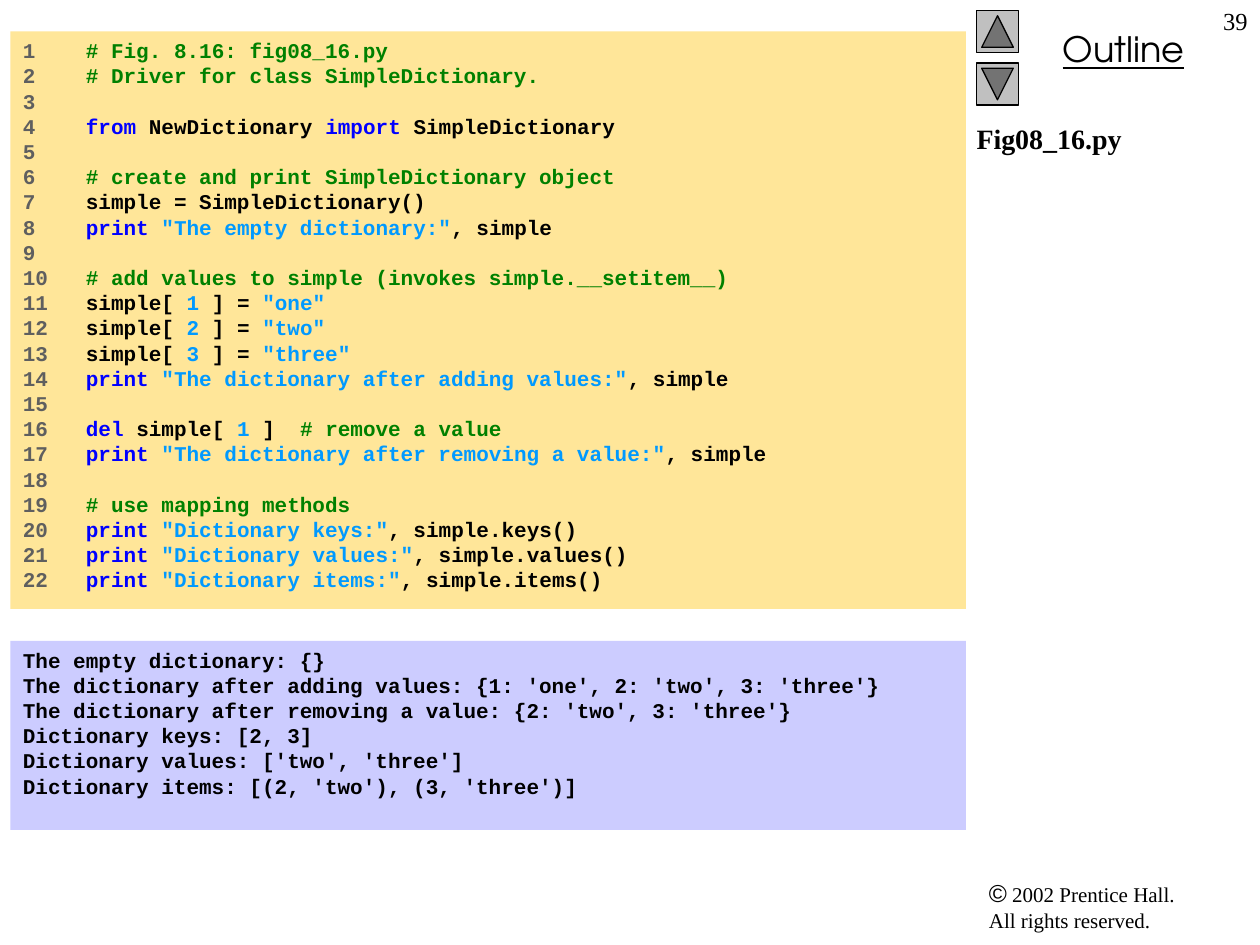
from pptx import Presentation
from pptx.dml.color import RGBColor
from pptx.enum.shapes import MSO_SHAPE
from pptx.enum.text import MSO_ANCHOR, PP_ALIGN
from pptx.util import Pt

COLORS = {
    "text": "000000",
    "number": "5F5F5F",
    "comment": "008000",
    "keyword": "0000FF",
    "literal": "0099FF",
    "code_panel": "FFE699",
    "output_panel": "CCCCFF",
    "button": "C0C0C0",
}
CODE_FONT, BODY_FONT = "Courier New", "Times New Roman"
CODE_PITCH = 14.4


def comment(text):
    return [("comment", text)]


def print_call(message, rest):
    return [("keyword", "print "), ("literal", f'"{message}"'), ("text", f", {rest}")]


def assignment(key, value):
    return [("text", "simple["), ("literal", f" {key}"), ("text", " ] = "),
            ("literal", f'"{value}"')]


# One list of (colour, text) pieces per line of the program
PROGRAM = [
    comment("# Fig. 8.16: fig08_16.py"),
    comment("# Driver for class SimpleDictionary."),
    [],
    [("keyword", "from"), ("text", " NewDictionary "),
     ("keyword", "import"), ("text", " SimpleDictionary")],
    [],
    comment("# create and print SimpleDictionary object"),
    [("text", "simple = SimpleDictionary()")],
    print_call("The empty dictionary:", "simple"),
    [],
    comment("# add values to simple (invokes simple.__setitem__)"),
    assignment(1, "one"),
    assignment(2, "two"),
    assignment(3, "three"),
    print_call("The dictionary after adding values:", "simple"),
    [],
    [("keyword", "del"), ("text", " simple["), ("literal", " 1"),
     ("text", " ]  "), ("comment", "# remove a value")],
    print_call("The dictionary after removing a value:", "simple"),
    [],
    comment("# use mapping methods"),
    print_call("Dictionary keys:", "simple.keys()"),
    print_call("Dictionary values:", "simple.values()"),
    print_call("Dictionary items:", "simple.items()"),
]
OUTPUT = [
    "The empty dictionary: {}",
    "The dictionary after adding values: {1: 'one', 2: 'two', 3: 'three'}",
    "The dictionary after removing a value: {2: 'two', 3: 'three'}",
    "Dictionary keys: [2, 3]",
    "Dictionary values: ['two', 'three']",
    "Dictionary items: [(2, 'two'), (3, 'three')]",
]


def color(name):
    return RGBColor.from_string(COLORS[name])


def style(font, name, size, tint="text", bold=False, underline=False):
    font.name, font.size = name, Pt(size)
    font.bold, font.underline = bold, underline
    font.color.rgb = color(tint)


def add_label(slide, box, text, font_name, size, align=PP_ALIGN.LEFT,
              left_inset=7.2, **looks):
    frame = slide.shapes.add_textbox(*map(Pt, box)).text_frame
    frame.word_wrap = True
    frame.margin_left = Pt(left_inset)
    frame.text = text
    paragraph = frame.paragraphs[0]
    paragraph.alignment = align
    for run in paragraph.runs:
        style(run.font, font_name, size, **looks)
    return paragraph


def add_code_panel(slide, box, fill, lines):
    panel = slide.shapes.add_shape(MSO_SHAPE.RECTANGLE, *map(Pt, box))
    panel.shadow.inherit = False
    panel.fill.solid()
    panel.fill.fore_color.rgb = color(fill)
    panel.line.fill.background()
    frame = panel.text_frame
    frame.word_wrap = True
    frame.vertical_anchor = MSO_ANCHOR.TOP
    for index, pieces in enumerate(lines):
        paragraph = frame.add_paragraph() if index else frame.paragraphs[0]
        paragraph.alignment = PP_ALIGN.LEFT
        paragraph.line_spacing = Pt(CODE_PITCH)
        for tint, text in pieces:
            run = paragraph.add_run()
            run.text = text
            style(run.font, CODE_FONT, 12, tint, bold=True)


def add_program(slide, box):
    numbered = [
        [("number", f"{number:<5}" if pieces else str(number)), *pieces]
        for number, pieces in enumerate(PROGRAM, 1)
    ]
    add_code_panel(slide, box, "code_panel", numbered)


def add_output(slide, box):
    add_code_panel(slide, box, "output_panel", [[("text", line)] for line in OUTPUT])


def add_outline_header(slide, box):
    left, top, width, height = box
    # Up and down buttons
    side, pitch = 24, 30
    for row, rotation in enumerate((90, 270)):
        button = slide.shapes.add_shape(
            MSO_SHAPE.ACTION_BUTTON_BACK_OR_PREVIOUS,
            Pt(left), Pt(top + 6 + row * pitch), Pt(side), Pt(side))
        button.rotation = rotation
        button.shadow.inherit = False
        button.fill.solid()
        button.fill.fore_color.rgb = color("button")
        button.line.color.rgb = color("text")
        button.line.width = Pt(0.75)
    # Heading, page number and file name
    add_label(slide, (left + 6, top + 12, width - 6, 32), "Outline",
              "TeX Gyre Adventor", 20, PP_ALIGN.CENTER, underline=True)
    add_label(slide, (left + width - 36, top, 36, 36), "39", BODY_FONT, 14,
              PP_ALIGN.RIGHT)
    add_label(slide, (left, top + 66, width, height - 66), "Fig08_16.py",
              BODY_FONT, 16, left_inset=0, bold=True)


def add_copyright(slide, box):
    notice = add_label(slide, box, "©", "Arial", 14)
    for index, text in enumerate((" 2002 Prentice Hall.", "All rights reserved.")):
        if index:
            notice.add_line_break()
        run = notice.add_run()
        run.text = text
        style(run.font, BODY_FONT, 12)


def main():
    deck = Presentation()
    deck.slide_width, deck.slide_height = Pt(720), Pt(540)
    slide = deck.slides.add_slide(deck.slide_layouts[6])
    add_copyright(slide, (558, 498, 156, 39))
    add_outline_header(slide, (558, 0, 162, 498))
    add_program(slide, (6, 18, 546, 330))
    add_output(slide, (6, 366.25, 546, 108))
    deck.save("out.pptx")


if __name__ == "__main__":
    main()
